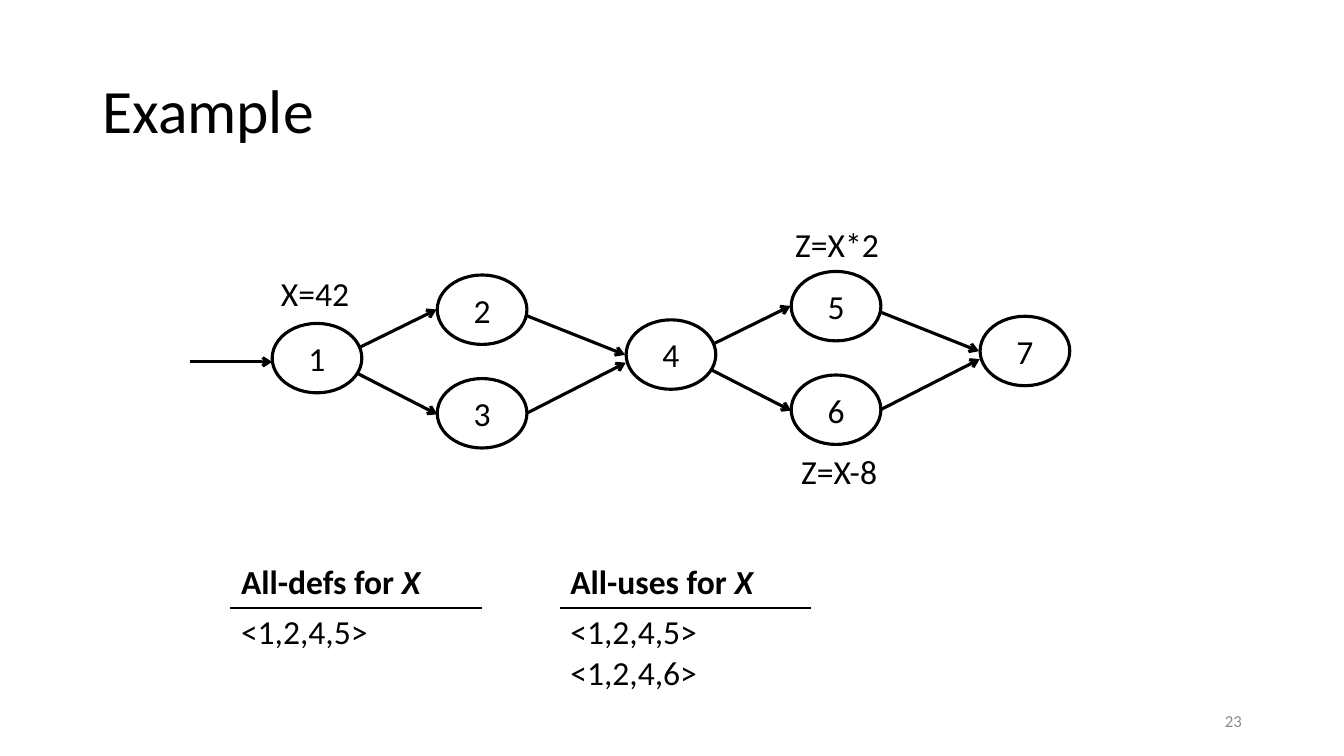
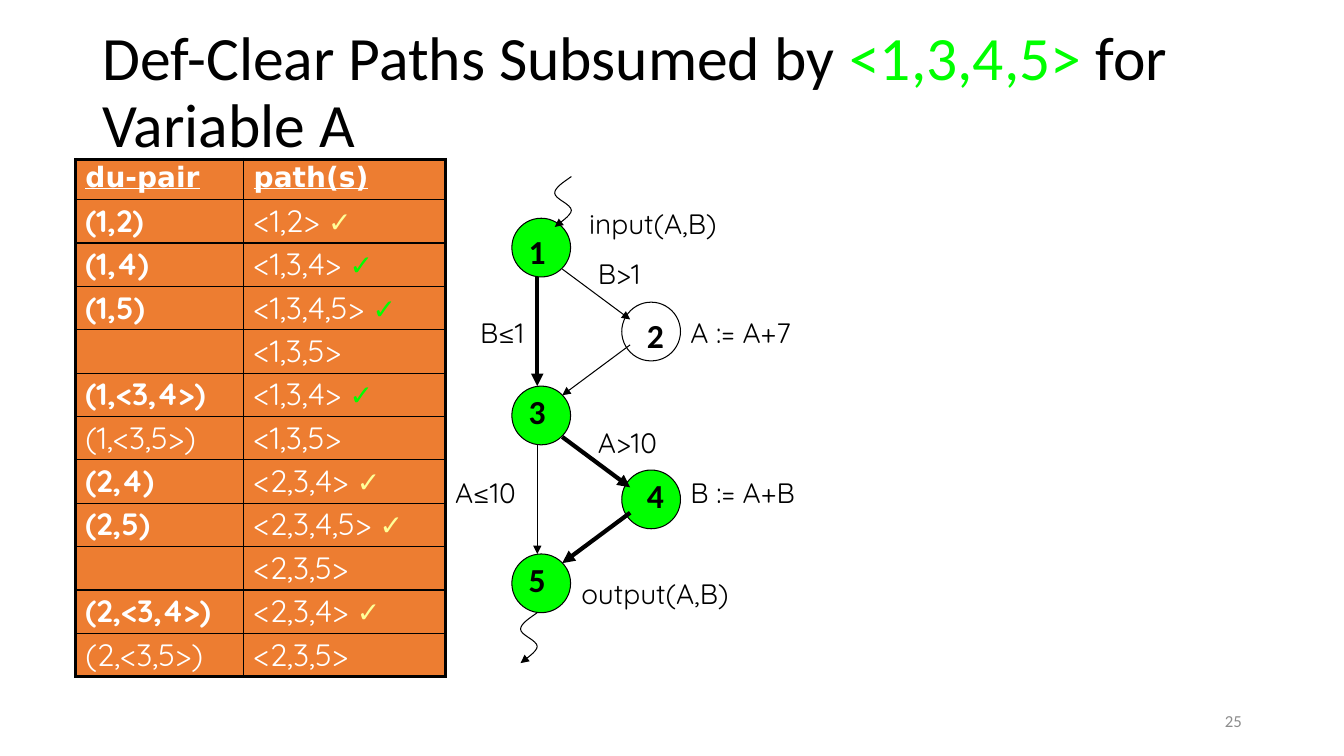
from dataclasses import dataclass

from lxml.etree import SubElement
from pptx import Presentation
from pptx.dml.color import RGBColor
from pptx.enum.shapes import MSO_CONNECTOR, MSO_SHAPE
from pptx.enum.text import MSO_ANCHOR, PP_ALIGN
from pptx.oxml import parse_xml
from pptx.oxml.ns import nsdecls, qn
from pptx.util import Cm, Pt


@dataclass(frozen=True)
class Theme:
    black: str = "000000"
    white: str = "FFFFFF"
    grey: str = "8C8C8C"
    green: str = "00FF00"
    cream: str = "FFFF99"
    orange: str = "ED7D31"
    body: str = "Calibri"
    head: str = "DejaVu Sans"
    code: str = "Quicksand"
    title: int = 44
    text: int = 24
    pair: int = 22
    note: int = 20
    foot: int = 12
    thin: float = 0.75
    rule: float = 1
    edge: float = 2.25
    bold: float = 3


T = Theme()


def label(frame, parts, size, face=T.body, align=PP_ALIGN.LEFT, bold=False,
          space=None):
    """Fill a frame with one paragraph of (text, colour) parts."""
    frame.word_wrap = True
    para = frame.paragraphs[0]
    para.alignment = align
    para.line_spacing = space
    for text, color in parts:
        run = para.add_run()
        run.text = text
        font = run.font
        font.size, font.name, font.bold = Pt(size), face, bold
        font.color.rgb = RGBColor.from_string(color)
    return para


def stroke(shape, width, head=None):
    """Draw a black outline without shadow, with an optional arrowhead."""
    shape.line.color.rgb = RGBColor.from_string(T.black)
    shape.line.width = Pt(width)
    props = shape.element.spPr
    if head:
        SubElement(props.find(qn("a:ln")), qn("a:tailEnd"), type=head)
    SubElement(props, qn("a:effectLst"))


deck = Presentation()
deck.slide_width, deck.slide_height = Cm(33.87), Cm(19.05)

# Title and page number of each slide
pages = [
    (23, 1.02, [("Example", T.black)]),
    (25, 0.53, [("Def-Clear Paths Subsumed by ", T.black),
                ("<1,3,4,5>", T.green), (" for Variable A", T.black)]),
]
for page, top, parts in pages:
    shapes = deck.slides.add_slide(deck.slide_layouts[6]).shapes
    box = shapes.add_textbox(Cm(2.33), Cm(top), Cm(29.21), Cm(3.68))
    box.text_frame.vertical_anchor = MSO_ANCHOR.MIDDLE
    label(box.text_frame, parts, T.title, space=0.9)
    box = shapes.add_textbox(Cm(23.93), Cm(17.65), Cm(7.62), Cm(1.02))
    box.text_frame.vertical_anchor = MSO_ANCHOR.MIDDLE
    label(box.text_frame, [(str(page), T.grey)], T.foot, align=PP_ALIGN.RIGHT)
flow, pairs = [slide.shapes for slide in deck.slides]

# Flow graph: two equal diamonds in a row, then the last node
step, rise = 8.92, -0.09
spots = [(6.86, 8.15), (11.02, 6.93), (11.02, 9.54)]
arms = [(9.09, 8.74, 11, 7.8), (8.99, 9.4, 11.02, 10.44),
        (13.26, 7.95, 15.75, 8.94), (13.28, 10.41, 15.77, 9.14)]
nodes, links = [], [(4.78, 9.12, 6.86, 9.12)]
for k in range(2):
    dx, dy = k * step, k * rise
    nodes += [(x + dx, y + dy) for x, y in spots]
    links += [(a + dx, b + dy, c + dx, d + dy) for a, b, c, d in arms]
nodes.append((spots[0][0] + 2 * step, spots[0][1] + 2 * rise))

for num, (x, y) in enumerate(nodes, 1):
    node = flow.add_shape(MSO_SHAPE.OVAL, Cm(x), Cm(y), Cm(2.26), Cm(1.75))
    node.fill.solid()
    node.fill.fore_color.rgb = RGBColor.from_string(T.white)
    stroke(node, T.edge)
    node.text_frame.vertical_anchor = MSO_ANCHOR.MIDDLE
    label(node.text_frame, [(str(num), T.black)], T.text, align=PP_ALIGN.CENTER)
for ends in links:
    link = flow.add_connector(MSO_CONNECTOR.STRAIGHT, *map(Cm, ends))
    stroke(link, T.edge, "arrow")
for text, x, y in [("X=42", 6.83, 6.76), ("Z=X*2", 19.79, 5.51),
                   ("Z=X-8", 19.94, 11.23)]:
    box = flow.add_textbox(Cm(x), Cm(y), Cm(3.02), Cm(1.27))
    label(box.text_frame, [(text, T.black)], T.text)

# Coverage tables under the graph
borders = []
for x, name, paths in [(5.82, "All-defs for ", ["<1,2,4,5>"]),
                       (14.12, "All-uses for ", ["<1,2,4,5>", "<1,2,4,6>"])]:
    grid = flow.add_table(2, 1, Cm(x), Cm(14.05), Cm(6.3), Cm(2.54)).table
    grid.first_row = grid.horz_banding = False
    top, low = grid.cell(0, 0), grid.cell(1, 0)
    para = label(top.text_frame, [(name, T.black), ("X", T.black)], T.text,
                 bold=True)
    para.runs[1].font.italic = True
    low.text_frame.text = "\n".join(paths)
    for para in low.text_frame.paragraphs:
        font = para.runs[0].font
        font.size, font.name = Pt(T.text), T.body
        font.color.rgb = RGBColor.from_string(T.black)
    for cell, side in [(top, "B"), (low, "T")]:
        cell.fill.solid()
        cell.fill.fore_color.rgb = RGBColor.from_string(T.white)
        borders.append((cell, {side: T.rule}))

# Table of du-pairs; a pair with a tick is bold
rows = [
    ("(1,2)", "<1,2>", T.cream),
    ("(1,4)", "<1,3,4>", T.green),
    ("(1,5)", "<1,3,4,5>", T.green),
    ("", "<1,3,5>", None),
    ("(1,<3,4>)", "<1,3,4>", T.green),
    ("(1,<3,5>)", "<1,3,5>", None),
    ("(2,4)", "<2,3,4>", T.cream),
    ("(2,5)", "<2,3,4,5>", T.cream),
    ("", "<2,3,5>", None),
    ("(2,<3,4>)", "<2,3,4>", T.cream),
    ("(2,<3,5>)", "<2,3,5>", None),
]
last = len(rows)
grid = pairs.add_table(last + 1, 2, Cm(1.9), Cm(4.01), Cm(9.32), Cm(13)).table
grid.first_row = grid.horz_banding = False
grid.columns[0].width, grid.columns[1].width = Cm(4.24), Cm(5.08)
for r, row in enumerate(grid.rows):
    row.height = Cm(1.09 if r else 1.02)
    for c, cell in enumerate(row.cells):
        cell.fill.solid()
        cell.fill.fore_color.rgb = RGBColor.from_string(T.orange)
        borders.append((cell, {
            "L": T.rule if c else T.edge, "R": T.edge if c else T.rule,
            "T": T.rule if r else T.edge, "B": T.edge if r == last else T.rule,
        }))
for c, name in enumerate(["du-pair", "path(s)"]):
    para = label(grid.cell(0, c).text_frame, [(name, T.white)], T.note, T.head,
                 bold=True, space=0.9)
    para.runs[0].font.underline = True
for r, (pair, path, tick) in enumerate(rows, 1):
    if pair:
        label(grid.cell(r, 0).text_frame, [(pair, T.white)], T.pair, T.code,
              bold=bool(tick), space=0.9)
    parts = [(path + " ", T.white), ("✓", tick)] if tick else [(path, T.white)]
    para = label(grid.cell(r, 1).text_frame, parts, T.pair, T.code, space=0.9)
    if tick:
        font = para.runs[1].font
        font.size, font.bold = Pt(T.note), True

for cell, sides in borders:
    props = cell._tc.get_or_add_tcPr()
    for spot, (side, width) in enumerate(sides.items()):
        props.insert(spot, parse_xml(
            f'<a:ln{side} {nsdecls("a")} w="{Pt(width)}"><a:solidFill>'
            f'<a:srgbClr val="{T.black}"/></a:solidFill></a:ln{side}>'))

# Control flow: nodes zigzag between two columns
drop = 2.115
for k in range(5):
    x, y = 12.9 + 2.77 * (k % 2), 5.5 + k * drop
    node = pairs.add_shape(MSO_SHAPE.OVAL, Cm(x), Cm(y), Cm(1.48), Cm(1.48))
    node.fill.solid()
    color = T.white if k == 1 else T.green
    node.fill.fore_color.rgb = RGBColor.from_string(color)
    stroke(node, T.thin)
for k, (side, main) in enumerate([(T.thin, T.bold), (T.bold, T.thin)]):
    dy = 2 * k * drop
    for a, b, c, d, width in [(14.17, 6.78, 15.88, 8.05, side),
                              (15.88, 8.69, 14.17, 9.96, side),
                              (13.54, 6.99, 13.54, 9.73, main)]:
        link = pairs.add_connector(MSO_CONNECTOR.STRAIGHT, Cm(a), Cm(b + dy),
                                   Cm(c), Cm(d + dy))
        stroke(link, width, "triangle")

# Wavy entry and exit arrows, sampled from three cubic bends
bends = [
    ((0, 0), (-0.21, 0.15), (-0.42, 0.28), (-0.42, 0.42)),
    ((-0.42, 0.42), (-0.42, 0.56), (0, 0.7), (0, 0.85)),
    ((0, 0.85), (0, 0.99), (-0.35, 1.2), (-0.42, 1.27)),
]
wave = []
for bend in bends:
    for t in [n / 8 for n in range(1, 9)]:
        mix = ((1 - t) ** 3, 3 * t * (1 - t) ** 2, 3 * t * t * (1 - t), t ** 3)
        wave.append([sum(m * p[i] for m, p in zip(mix, bend)) for i in (0, 1)])
for x, y in [(14.4, 4.45), (13.54, 15.44)]:
    pen = pairs.build_freeform(Cm(x), Cm(y))
    pen.add_line_segments([(Cm(x + dx), Cm(y + dy)) for dx, dy in wave],
                          close=False)
    curve = pen.convert_to_shape()
    curve.fill.background()
    stroke(curve, T.thin, "triangle")

# Node numbers, statements and conditions
for k in range(5):
    x, y = 12.9 + 2.98 * (k % 2), 5.5 + k * drop + (0.2 if k < 2 else 0)
    box = pairs.add_textbox(Cm(x), Cm(y), Cm(1.27), Cm(1.27))
    label(box.text_frame, [(str(k + 1), T.black)], T.text,
          align=PP_ALIGN.CENTER, bold=True)
for text, x, y, wide in [
    ("input(A,B)", 14.6, 5.08, 4.88), ("A := A+7", 17.15, 7.82, 4.88),
    ("B := A+B", 17.15, 11.86, 4.02), ("B>1", 14.82, 6.35, 2.33),
    ("B≤1", 11.85, 7.82, 1.9), ("A>10", 14.82, 10.59, 2.33),
    ("A≤10", 11.22, 11.86, 2.33), ("output(A,B)", 14.4, 14.4, 4.88),
]:
    box = pairs.add_textbox(Cm(x), Cm(y), Cm(wide), Cm(1.09))
    label(box.text_frame, [(text, T.black)], T.note, T.code)

deck.save("out.pptx")
